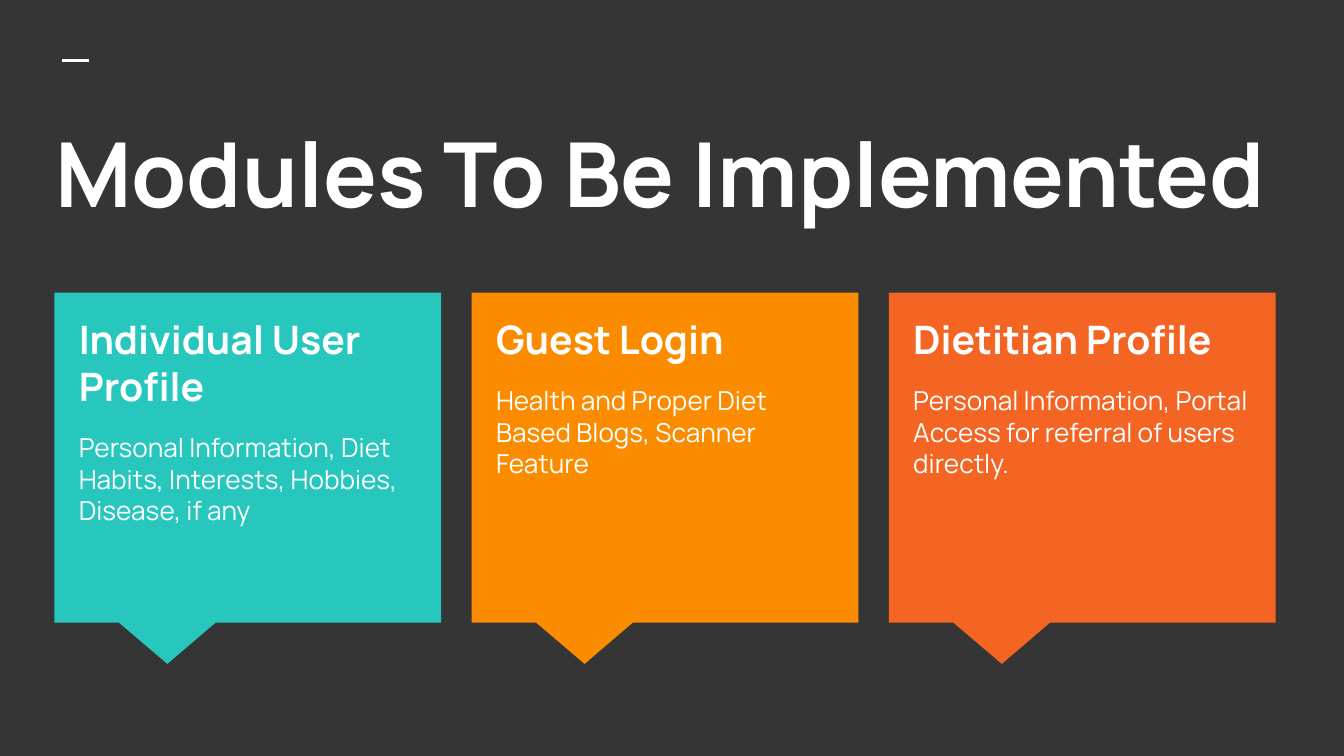
from pptx import Presentation
from pptx.dml.color import RGBColor
from pptx.enum.shapes import MSO_CONNECTOR, MSO_SHAPE
from pptx.enum.text import MSO_ANCHOR, MSO_AUTO_SIZE, PP_ALIGN
from pptx.oxml.ns import qn
from pptx.util import Cm, Pt
from lxml import etree

TITLE = "Modules To Be Implemented"
MODULES = [
    ("Individual User Profile",
     "Personal Information, Diet Habits, Interests, Hobbies, Disease, if any",
     "27C7BD"),
    ("Guest Login", "Health and Proper Diet Based Blogs, Scanner Feature", "FB8C00"),
    ("Dietitian Profile",
     "Personal Information, Portal Access for referral of users directly.",
     "F46524"),
]
FONT, WHITE, BACKGROUND = "Manrope", "FFFFFF", "353535"
CARD_LEFT, CARD_TOP, CARD_WIDTH, CARD_HEIGHT, CARD_STEP = 1.03, 5.53, 7.31, 6.24, 7.885
TEXT_INSET, TEXT_TOP, TEXT_WIDTH, TEXT_HEIGHT = 0.21, 5.71, 6.88, 5.56
CONNECTOR, CALLOUT = MSO_CONNECTOR.STRAIGHT, MSO_SHAPE.RECTANGULAR_CALLOUT
TOP, LEFT, NO_FIT = MSO_ANCHOR.TOP, PP_ALIGN.LEFT, MSO_AUTO_SIZE.NONE


def rgb(value):
    return RGBColor.from_string(value)


def write(shape, lines):
    """Fill a shape with (text, size, bold, space before) paragraphs."""
    tf = shape.text_frame
    tf.word_wrap, tf.auto_size, tf.vertical_anchor = True, NO_FIT, TOP
    tf.margin_left = tf.margin_right = tf.margin_top = tf.margin_bottom = Cm(0.25)
    tf.text = "\n".join(line[0] for line in lines)
    for p, (_, size, bold, before) in zip(tf.paragraphs, lines):
        p.alignment, p.space_before = LEFT, Pt(before)
        p.font.name, p.font.size, p.font.bold = FONT, Pt(size), bold
        p.font.color.rgb = rgb(WHITE)


def add_card(s, index, heading, body, color):
    left = CARD_LEFT + index * CARD_STEP
    card = s.shapes.add_shape(CALLOUT, Cm(left), Cm(CARD_TOP),
                              Cm(CARD_WIDTH), Cm(CARD_HEIGHT))
    card.adjustments[0], card.adjustments[1] = -0.208, 0.625
    card.shadow.inherit = False
    card.fill.solid()
    card.fill.fore_color.rgb = rgb(color)
    card.line.fill.background()
    box = s.shapes.add_textbox(Cm(left + TEXT_INSET), Cm(TEXT_TOP),
                               Cm(TEXT_WIDTH), Cm(TEXT_HEIGHT))
    write(box, [(heading, 21, True, 0), (body, 14, False, 12)])


def main():
    prs = Presentation()
    prs.slide_width, prs.slide_height = Cm(25.4), Cm(14.29)
    s = prs.slides.add_slide(prs.slide_layouts[5])
    s.background.fill.solid()
    s.background.fill.fore_color.rgb = rgb(BACKGROUND)

    dash = s.shapes.add_connector(CONNECTOR, Cm(1.18), Cm(1.14), Cm(1.69), Cm(1.14))
    dash.line.color.rgb, dash.line.width = rgb(WHITE), Pt(1.5)
    etree.SubElement(dash._element.spPr, qn("a:effectLst"))

    title = s.shapes.title
    title.left, title.top, title.width, title.height = Cm(0.79), Cm(1.98), Cm(23.95), Cm(2.84)
    write(title, [(TITLE, 48, True, 0)])

    for i, module in enumerate(MODULES):
        add_card(s, i, *module)
    prs.save("out.pptx")


if __name__ == "__main__":
    main()
